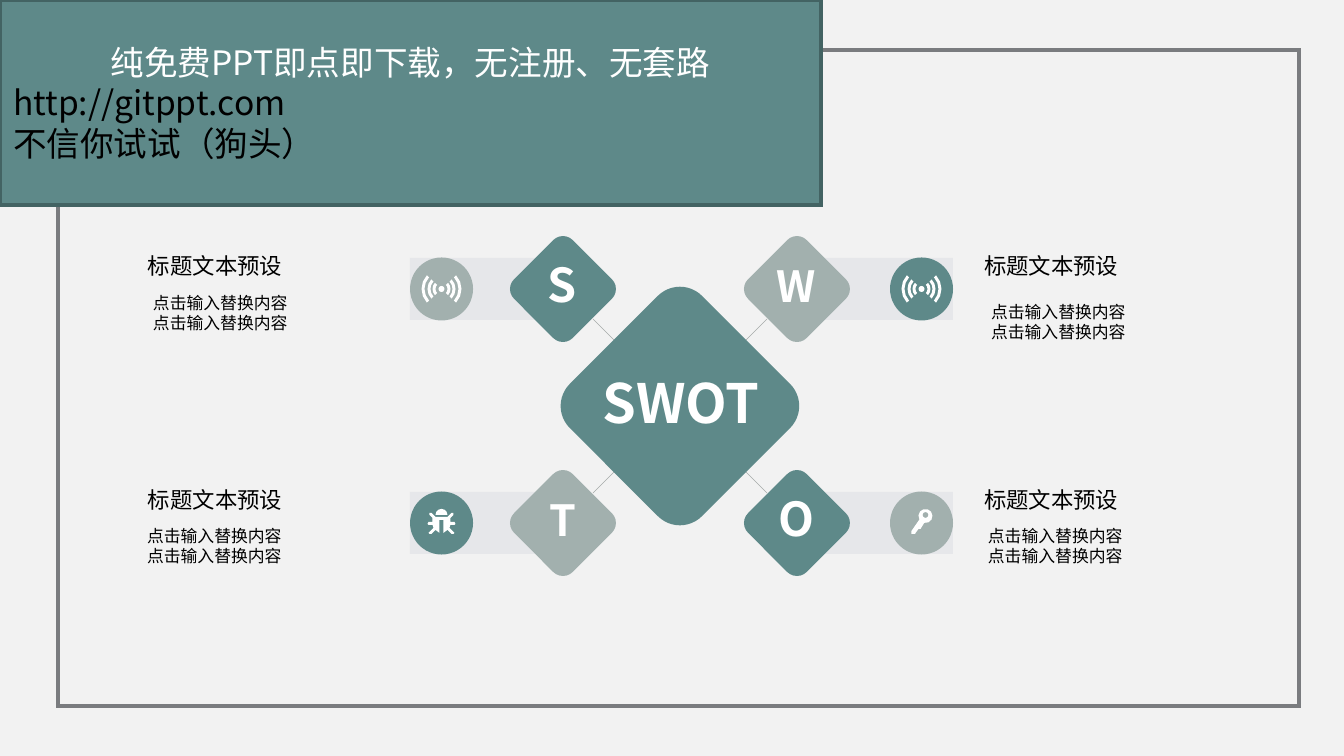
from dataclasses import dataclass
from math import cos, radians, sin

from lxml import etree
from pptx import Presentation
from pptx import util as u
from pptx.dml.color import RGBColor
from pptx.enum import shapes, text
from pptx.oxml import ns

SCALE = 914400 / 134.4  # EMU in one px
FONT = "Noto Sans CJK SC"
COLORS = {
    "background": "F2F2F2", "frame": "7A7C7F", "teal": "5E8989",
    "teal_dark": "436363", "sage": "A2B0AE", "band": "E6E7EA",
    "link": "A6AAA9", "white": "FFFFFF", "black": "000000",
}
SHAPE = shapes.MSO_SHAPE
CENTER_X, CENTER_Y = 680, 406
OFFSET = 117  # from the centre to each small diamond
CIRCLE = 63
BAND_WIDTH = 156
BAND_LEFT = {-1: 410, 1: 797}

Point = tuple[float, float]


@dataclass
class Quadrant:
    letter: str
    side: int  # -1 left, 1 right
    level: int  # -1 top, 1 bottom
    diamond: str
    circle: str
    icon: str
    size: int
    spacing: float
    title_x: int
    body: tuple[int, int, int]  # left, top, width


QUADRANTS = [
    Quadrant("S", -1, -1, "teal", "sage", "signal", 25, 0.8, 144, (149, 289, 247)),
    Quadrant("W", 1, -1, "sage", "teal", "signal", 23, 0.9, 980, (987, 298, 228)),
    Quadrant("O", 1, 1, "teal", "sage", "key", 25, 0.8, 980, (984, 522, 229)),
    Quadrant("T", -1, 1, "sage", "teal", "bug", 23, 0.9, 144, (143, 522, 233)),
]


def px(value: float) -> u.Emu:
    return u.Emu(round(value * SCALE))


def color(name: str) -> RGBColor:
    return RGBColor.from_string(COLORS[name])


def paint(shape, fill: str | None, line: str | None = None) -> None:
    shape.shadow.inherit = False
    if fill:
        shape.fill.solid()
        shape.fill.fore_color.rgb = color(fill)
    else:
        shape.fill.background()
    if line:
        shape.line.color.rgb = color(line)
        shape.line.width = u.Pt(2)
        outline = shape._element.spPr.find(ns.qn("a:ln"))
        etree.SubElement(outline, ns.qn("a:miter")).set("lim", "800000")
    else:
        shape.line.fill.background()


def add_preset(slide, kind, left: float, top: float, width: float, height: float,
               fill: str | None, line: str | None = None):
    shape = slide.shapes.add_shape(kind, px(left), px(top), px(width), px(height))
    paint(shape, fill, line)
    return shape


def add_diamond(slide, x: int, y: int, side: int, fill: str) -> None:
    shape = add_preset(slide, SHAPE.ROUNDED_RECTANGLE,
                       x - side / 2, y - side / 2, side, side, fill)
    shape.rotation = 315


def add_link(slide, horizontal: int, vertical: int) -> None:
    near, far = 44, 87
    link = slide.shapes.add_connector(
        shapes.MSO_CONNECTOR.STRAIGHT,
        px(CENTER_X + near * horizontal), px(CENTER_Y + near * vertical),
        px(CENTER_X + far * horizontal), px(CENTER_Y + far * vertical))
    link.line.color.rgb = color("link")
    link.line.width = u.Pt(0.25)
    etree.SubElement(link._element.spPr, ns.qn("a:effectLst"))


def style(paragraph, size: int, ink: str, bold: bool = False,
          centered: bool = False, spacing: float = 1.0) -> None:
    paragraph.alignment = text.PP_ALIGN.CENTER if centered else text.PP_ALIGN.LEFT
    paragraph.line_spacing = spacing
    font = paragraph.font
    font.size, font.bold, font.name = u.Pt(size), bold, FONT
    font.color.rgb = color(ink)
    properties = paragraph._p.pPr.find(ns.qn("a:defRPr"))
    etree.SubElement(properties, ns.qn("a:ea")).set("typeface", FONT)


def add_text(slide, left: float, top: float, width: int, height: int,
             lines: list[str], size: int, ink: str = "black", wrap: bool = True,
             anchor=text.MSO_ANCHOR.MIDDLE, **look) -> None:
    frame = slide.shapes.add_textbox(px(left), px(top), px(width), px(height)).text_frame
    frame.word_wrap = wrap
    frame.vertical_anchor = anchor
    frame.margin_left = frame.margin_right = px(4)
    frame.margin_top = frame.margin_bottom = px(4)
    frame.text = "\n".join(lines)
    for paragraph in frame.paragraphs:
        style(paragraph, size, ink, **look)


def arc(x: float, y: float, radius: float, start: int, end: int,
        steps: int = 4) -> list[Point]:
    angles = [radians(start + (end - start) * i / steps) for i in range(steps + 1)]
    return [(x + radius * cos(a), y + radius * sin(a)) for a in angles]


def add_outline(slide, x: float, y: float, contours: list[list[Point]]) -> None:
    """Draw closed white contours whose points are relative to x, y."""
    placed = [[(px(x + dx), px(y + dy)) for dx, dy in contour] for contour in contours]
    builder = slide.shapes.build_freeform(*placed[0][0])
    builder.add_line_segments(placed[0][1:], close=True)
    for contour in placed[1:]:
        builder.move_to(*contour[0])
        builder.add_line_segments(contour[1:], close=True)
    paint(builder.convert_to_shape(), "white")


def add_signal(slide, x: float, y: float) -> None:
    add_preset(slide, SHAPE.OVAL, x - 3, y - 3, 6, 6, "white")
    for middle in (0, 180):
        for inner, outer in ((6, 9), (11, 14), (17, 20)):
            start, end = middle - 43, middle + 43
            ring = arc(0, 0, outer, start, end) + arc(0, 0, inner, end, start)
            add_outline(slide, x, y, [ring])


def add_bug(slide, x: float, y: float) -> None:
    half = [(2, -3), (2, 10), (6, 7), (10, 11), (12, 11), (13, 10), (9, 6), (8, 5),
            (9, 2), (13, 2), (14, 1), (13, -1), (9, -1), (9, -5), (12, -8),
            (12, -10), (10, -10), (6, -6)]
    body = half + [(-dx, dy) for dx, dy in reversed(half)]
    add_outline(slide, x, y, [body, arc(0, -8, 6, 180, 360, 6)])


def add_key(slide, x: float, y: float) -> None:
    shaft = [(-1, 6), (-3, 6), (-6, 10), (-6, 11), (-10, 11), (-10, 8)]
    head = arc(4, -7, 7, 150, 460, 9)
    add_outline(slide, x, y, [head + shaft, arc(4, -8, 3, 360, 45, 7)])


ICONS = {"signal": add_signal, "bug": add_bug, "key": add_key}


def add_quadrant(slide, item: Quadrant) -> None:
    x, y = CENTER_X + OFFSET * item.side, CENTER_Y + OFFSET * item.level
    band_left = BAND_LEFT[item.side]
    circle_left = band_left if item.side < 0 else band_left + BAND_WIDTH - CIRCLE
    # Band, diamond and letter
    add_preset(slide, SHAPE.RECTANGLE, band_left, y - 31, BAND_WIDTH, 62, "band")
    add_diamond(slide, x, y, 83, item.diamond)
    add_text(slide, x - 35, y - 27, 69, 54, [item.letter], item.size, "white",
             bold=True, centered=True, spacing=item.spacing)
    # Round icon
    add_preset(slide, SHAPE.OVAL, circle_left, y - CIRCLE / 2, CIRCLE, CIRCLE, item.circle)
    ICONS[item.icon](slide, circle_left + CIRCLE / 2, y)
    # Title and body
    add_text(slide, item.title_x, y - 36, 233, 30, ["标题文本预设"], 12, wrap=False,
             anchor=text.MSO_ANCHOR.TOP, spacing=0.8)
    left, top, width = item.body
    add_text(slide, left, top, width, 48, ["点击输入替换内容"] * 2, 9)


def add_banner(slide) -> None:
    banner = add_preset(slide, SHAPE.RECTANGLE, 0, 0, 821, 205, "teal", "teal_dark")
    frame = banner.text_frame
    frame.vertical_anchor = text.MSO_ANCHOR.MIDDLE
    frame.text = "纯免费PPT即点即下载，无注册、无套路\nhttp://gitppt.com\n不信你试试（狗头）"
    headline, *details = frame.paragraphs
    style(headline, 18, "white", centered=True)
    for paragraph in details:
        style(paragraph, 18, "black")


def main() -> None:
    presentation = Presentation()
    presentation.slide_width, presentation.slide_height = px(1344), px(756)
    slide = presentation.slides.add_slide(presentation.slide_layouts[6])
    # Background and frame
    slide.background.fill.solid()
    slide.background.fill.fore_color.rgb = color("background")
    add_preset(slide, SHAPE.RECTANGLE, 58, 50, 1241, 656, None, "frame")
    # SWOT diagram
    for item in QUADRANTS:
        add_link(slide, item.side, item.level)
        add_quadrant(slide, item)
    add_diamond(slide, CENTER_X, CENTER_Y, 187, "teal")
    add_text(slide, CENTER_X - 87, CENTER_Y - 35, 176, 70, ["SWOT"], 29, "white",
             bold=True, centered=True, spacing=0.9)
    # Banner over the frame corner
    add_banner(slide)
    presentation.save("out.pptx")


if __name__ == "__main__":
    main()
